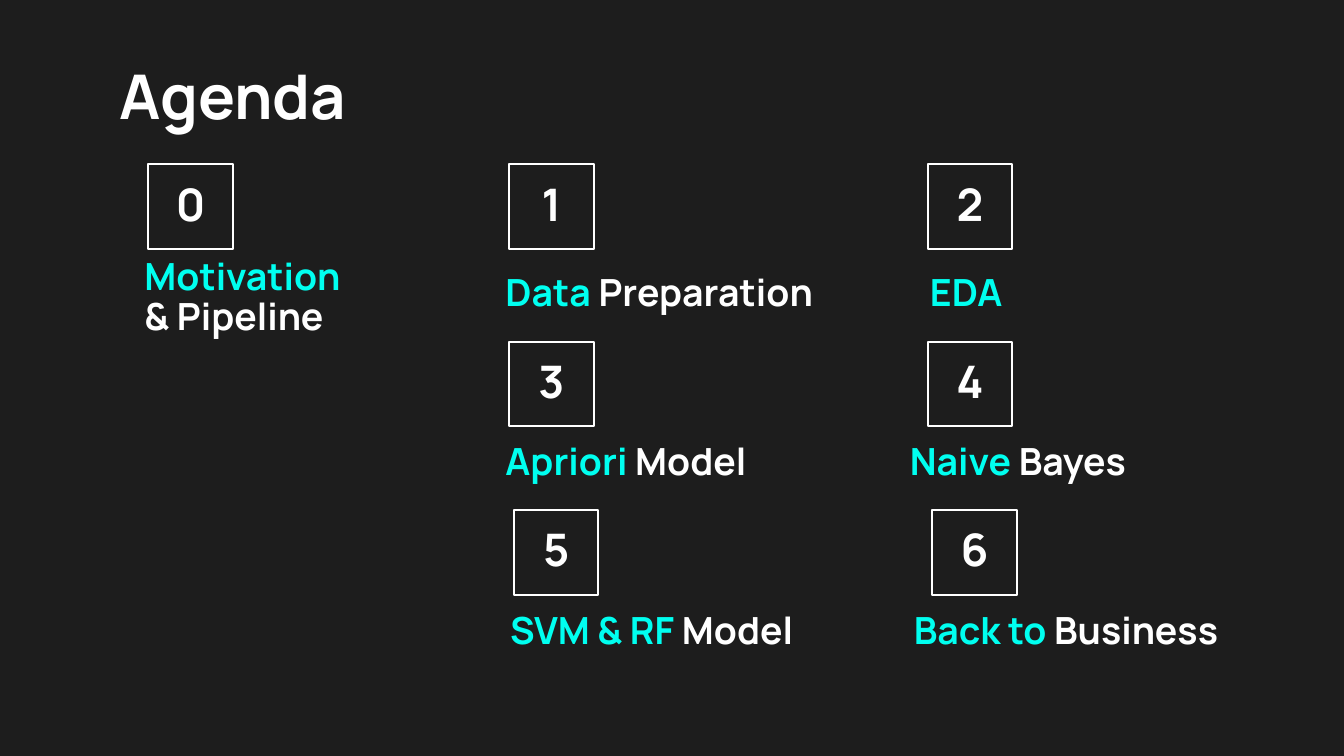
from pptx import Presentation
from pptx.dml.color import RGBColor
from pptx.enum.shapes import MSO_SHAPE
from pptx.enum.text import MSO_ANCHOR, MSO_AUTO_SIZE, PP_ALIGN
from pptx.util import Inches, Pt

COLORS = {"background": "1D1D1D", "text": "FFFFFF", "accent": "00FFF0"}
FONT = "Manrope"
SIZES = {"title": 44, "number": 32, "label": 26.7}

BOX_COLUMNS = (11.03, 37.88, 69.02)
BOX_ROWS = (21.73, 45.2, 67.47)
BOX_SIZE = (6.3, 11.2)
LAST_ROW_SHIFT = 0.35
LABEL_TOP = 33.87
LABEL_STEP = 22.33

TOPICS = [
    (0, 0, "Motivation", "\n& Pipeline", -1.28, 28.88, 11.2),
    (1, 0, "Data ", "Preparation", -1.27, 31.58, 10.27),
    (2, 0, "EDA", "", -0.83, 31.58, 10.27),
    (1, 1, "Apriori ", "Model", -1.27, 31.58, 10.27),
    (2, 1, "Naive ", "Bayes", -2.33, 33, 10.27),
    (1, 2, "SVM & RF ", "Model", -1.27, 31.58, 10.27),
    (2, 2, "Back to ", "Business", -2.38, 33, 10.27),
]


class AgendaSlide:
    def __init__(self, deck):
        self.width = deck.slide_width
        self.height = deck.slide_height
        self.slide = deck.slides.add_slide(deck.slide_layouts[5])
        fill = self.slide.background.fill
        fill.solid()
        fill.fore_color.rgb = self.color("background")

    def color(self, name):
        return RGBColor.from_string(COLORS[name])

    def area(self, left, top, width, height):
        return (
            round(self.width * left / 100),
            round(self.height * top / 100),
            round(self.width * width / 100),
            round(self.height * height / 100),
        )

    def set_text(self, shape, runs, role, align=PP_ALIGN.LEFT):
        frame = shape.text_frame
        frame.word_wrap = True
        frame.auto_size = MSO_AUTO_SIZE.NONE
        frame.vertical_anchor = MSO_ANCHOR.MIDDLE
        inset = round(self.width / 100)
        frame.margin_left = frame.margin_right = inset
        frame.margin_top = frame.margin_bottom = inset
        paragraph = frame.paragraphs[0]
        paragraph.alignment = align
        paragraph.line_spacing = 0.9
        for words, color in runs:
            if words.startswith("\n"):
                paragraph.add_line_break()
            run = paragraph.add_run()
            run.text = words.lstrip("\n")
            run.font.name = FONT
            run.font.size = Pt(SIZES[role])
            run.font.bold = True
            run.font.color.rgb = self.color(color)

    def title(self, words, *area):
        title = self.slide.shapes.title
        title.left, title.top, title.width, title.height = self.area(*area)
        self.set_text(title, [(words, "text")], "title")

    def number(self, value, left, top):
        box = self.slide.shapes.add_shape(
            MSO_SHAPE.RECTANGLE, *self.area(left, top, *BOX_SIZE)
        )
        box.shadow.inherit = False
        box.fill.background()
        box.line.color.rgb = self.color("text")
        box.line.width = Pt(1.5)
        self.set_text(box, [(str(value), "text")], "number", PP_ALIGN.CENTER)

    def label(self, highlight, rest, *area):
        label = self.slide.shapes.add_textbox(*self.area(*area))
        runs = [(highlight, "accent")]
        if rest:
            runs.append((rest, "text"))
        self.set_text(label, runs, "label")


def main():
    deck = Presentation()
    deck.slide_width = Inches(13.33)
    deck.slide_height = Inches(7.5)
    agenda = AgendaSlide(deck)
    agenda.title("Agenda", 7.88, 7.6, 69.39, 11.2)
    for value, topic in enumerate(TOPICS):
        column, row, highlight, rest, offset, width, height = topic
        shift = LAST_ROW_SHIFT if row == 2 else 0
        left = BOX_COLUMNS[column] + shift
        agenda.number(value, left, BOX_ROWS[row])
        label_top = LABEL_TOP + row * LABEL_STEP
        agenda.label(highlight, rest, left + offset, label_top, width, height)
    deck.save("out.pptx")


if __name__ == "__main__":
    main()
